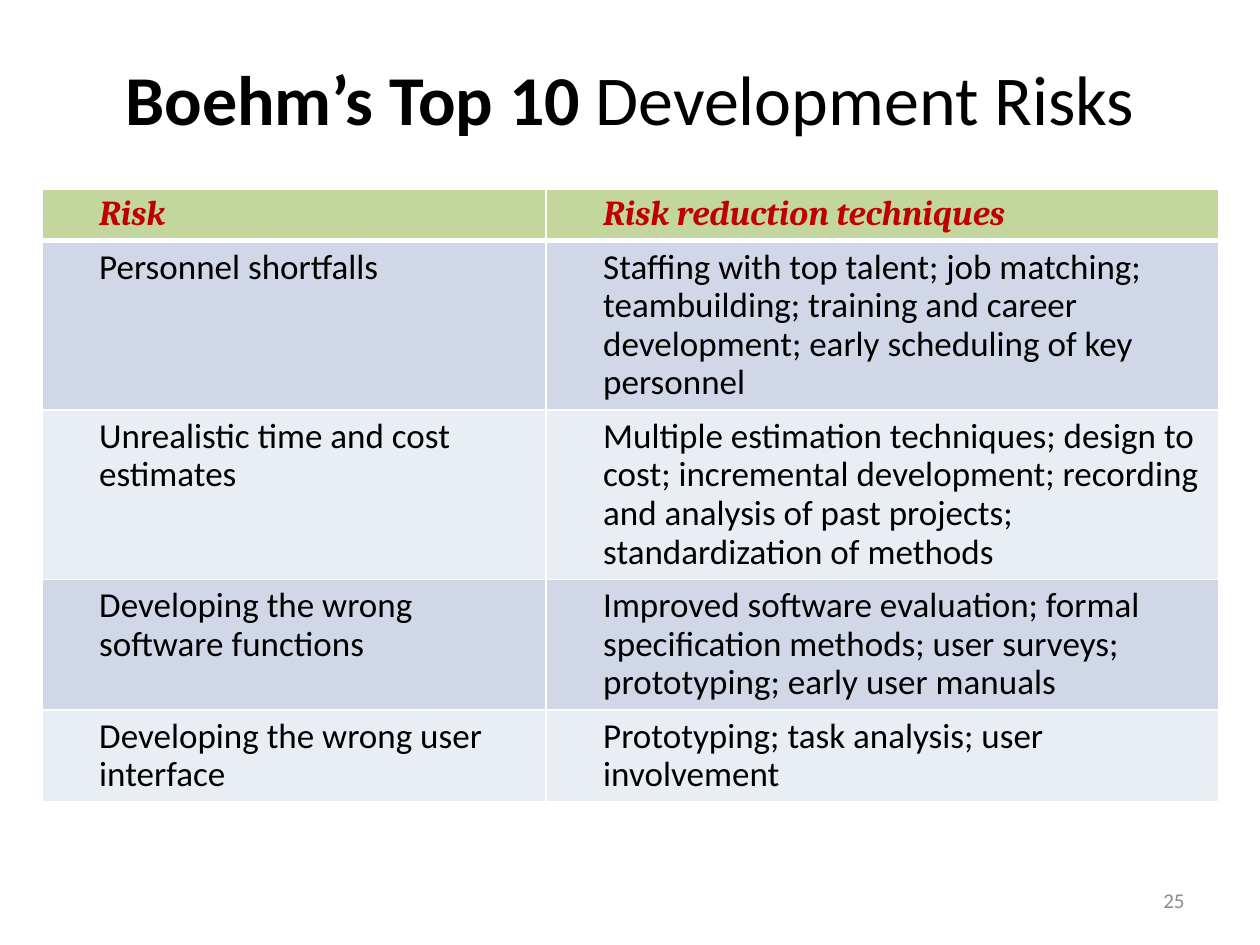
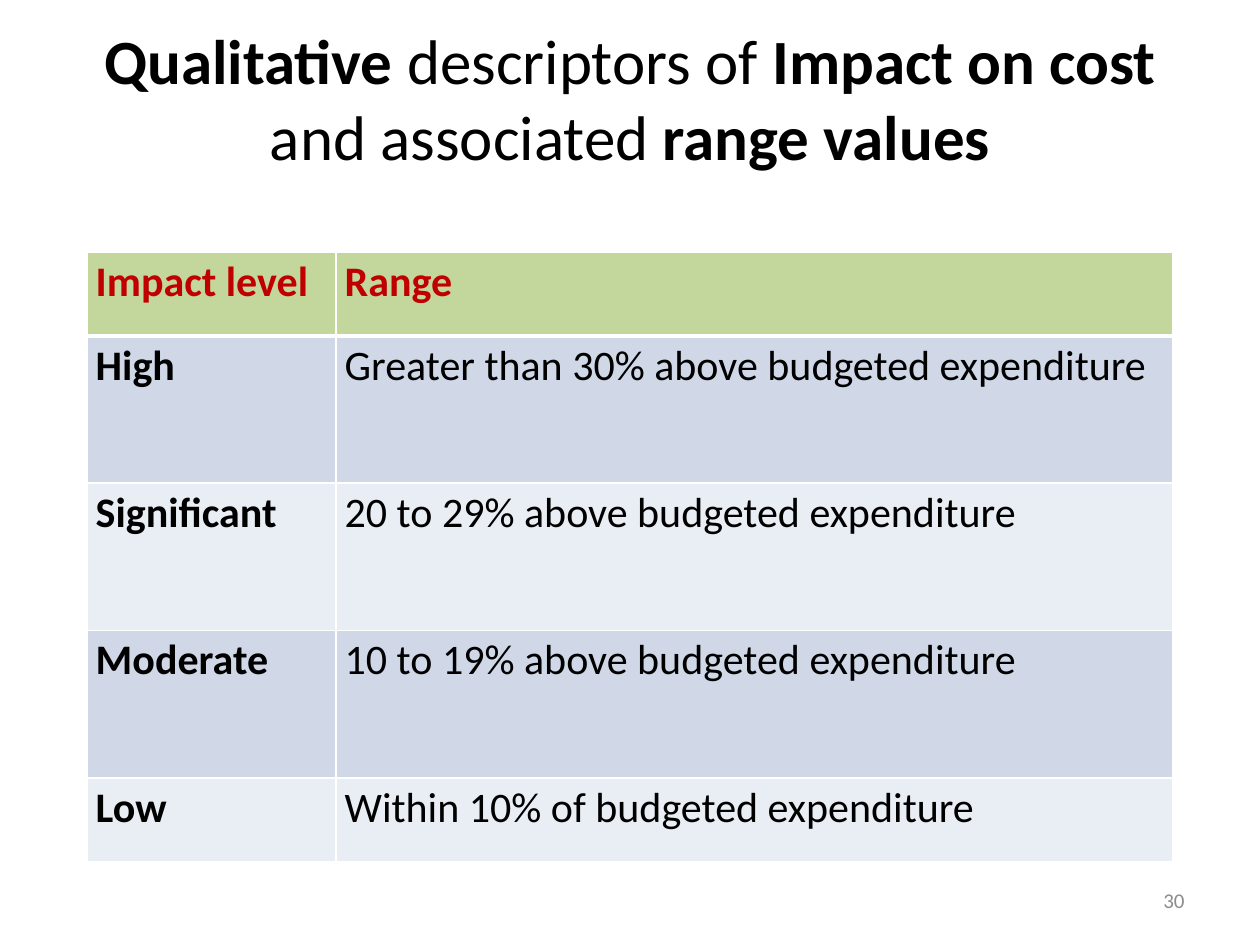
from dataclasses import dataclass
from typing import NamedTuple

from lxml import etree
from pptx import Presentation
from pptx import util as u
from pptx.dml.color import RGBColor
from pptx.enum import text
from pptx.oxml.ns import qn

# Shared look
COLOURS = {
    "ink": "000000",
    "header_text": "C00000",
    "header_fill": "C3D69B",
    "band_dark": "D0D8E8",
    "band_light": "E9EDF4",
    "border": "FFFFFF",
    "number": "8C8C8C",
}
BODY_FONT = "Calibri"
TEXT_INDENT = u.Cm(0.97)
TITLE_ONLY = 5


class Run(NamedTuple):
    text: str
    bold: bool = False


class TextStyle(NamedTuple):
    size: float
    colour: str = "ink"
    font: str = BODY_FONT
    bold: bool = False
    italic: bool = False


@dataclass
class RiskTable:
    left: float  # positions and sizes in centimetres
    top: float
    columns: list[float]
    rows: list[float]
    cells: list[tuple[str, str]]
    header: TextStyle
    body: TextStyle
    bold_labels: bool = False
    hanging: bool = False
    header_alignment: text.PP_ALIGN = text.PP_ALIGN.LEFT


@dataclass
class TableSlide:
    title: list[Run]
    title_size: float
    number: int
    table: RiskTable


def colour(name: str) -> RGBColor:
    return RGBColor.from_string(COLOURS[name])


def add_run(paragraph, words: str, style: TextStyle) -> None:
    run = paragraph.add_run()
    run.text = words
    font = run.font
    font.name, font.size = style.font, u.Pt(style.size)
    font.bold, font.italic = style.bold, style.italic
    font.color.rgb = colour(style.colour)


def add_borders(cell, bottom_width: float) -> None:
    properties = cell._tc.get_or_add_tcPr()
    for side, width in (("L", 1), ("R", 1), ("T", 1), ("B", bottom_width)):
        line = etree.SubElement(properties, qn(f"a:ln{side}"), w=str(u.Pt(width)))
        fill = etree.SubElement(line, qn("a:solidFill"))
        etree.SubElement(fill, qn("a:srgbClr"), val=COLOURS["border"])


def add_title(slide, runs: list[Run], size: float) -> None:
    title = slide.shapes.title
    title.left, title.top = u.Cm(1.27), u.Cm(0.76)
    title.width, title.height = u.Cm(22.86), u.Cm(2.41)
    frame = title.text_frame
    frame.auto_size = text.MSO_AUTO_SIZE.NONE
    frame.vertical_anchor = text.MSO_ANCHOR.MIDDLE
    paragraph = frame.paragraphs[0]
    paragraph.alignment = text.PP_ALIGN.CENTER
    for run in runs:
        add_run(paragraph, run.text, TextStyle(size, bold=run.bold))


def add_number(slide, number: int) -> None:
    box = slide.shapes.add_textbox(u.Cm(18.2), u.Cm(17.65), u.Cm(5.93), u.Cm(1.01))
    frame = box.text_frame
    frame.word_wrap = True
    frame.vertical_anchor = text.MSO_ANCHOR.MIDDLE
    paragraph = frame.paragraphs[0]
    paragraph.alignment = text.PP_ALIGN.RIGHT
    add_run(paragraph, str(number), TextStyle(12, "number"))


def fill_cell(cell, words: str, row: int, column: int, design: RiskTable) -> None:
    is_header = row == 0
    add_borders(cell, bottom_width=3 if is_header else 1)
    cell.fill.solid()
    band = "band_dark" if row % 2 else "band_light"
    cell.fill.fore_color.rgb = colour("header_fill" if is_header else band)
    cell.margin_left = cell.margin_right = u.Cm(0.18)
    cell.margin_top = cell.margin_bottom = u.Cm(0.15)

    paragraph = cell.text_frame.paragraphs[0]
    paragraph.line_spacing = 0.9
    paragraph.alignment = design.header_alignment if is_header else text.PP_ALIGN.LEFT
    properties = paragraph._p.get_or_add_pPr()
    properties.set("marL", str(TEXT_INDENT))
    properties.set("indent", str(-TEXT_INDENT if design.hanging else 0))

    style = design.header if is_header else design.body
    if design.bold_labels and column == 0:
        style = style._replace(bold=True)
    add_run(paragraph, words, style)


def add_table(slide, design: RiskTable) -> None:
    frame = slide.shapes.add_table(
        len(design.rows), len(design.columns),
        u.Cm(design.left), u.Cm(design.top),
        u.Cm(sum(design.columns)), u.Cm(sum(design.rows)),
    )
    table = frame.table
    for column, width in zip(table.columns, design.columns):
        column.width = u.Cm(width)
    for row, height in zip(table.rows, design.rows):
        row.height = u.Cm(height)
    for row, row_words in enumerate(design.cells):
        for column, words in enumerate(row_words):
            fill_cell(table.cell(row, column), words, row, column, design)


# Slide content
SLIDES = [
    TableSlide(
        title=[Run("Boehm’s Top 10 ", True), Run("Development Risks")],
        title_size=40,
        number=25,
        table=RiskTable(
            left=0.85, top=3.82,
            columns=[10.16, 13.55],
            rows=[1.02, 3.4, 3.4, 2.62, 1.83],
            header=TextStyle(20, "header_text", "Cambria", bold=True, italic=True),
            body=TextStyle(20),
            cells=[
                ("Risk", "Risk reduction techniques"),
                ("Personnel shortfalls",
                 "Staffing with top talent; job matching; teambuilding; training "
                 "and career development; early scheduling of key personnel"),
                ("Unrealistic time and cost estimates",
                 "Multiple estimation techniques; design to cost; incremental "
                 "development; recording and analysis of past projects; "
                 "standardization of methods"),
                ("Developing the wrong software functions",
                 "Improved software evaluation; formal specification methods; "
                 "user surveys; prototyping; early user manuals"),
                ("Developing the wrong user interface",
                 "Prototyping; task analysis; user involvement"),
            ],
        ),
    ),
    TableSlide(
        title=[
            Run("Qualitative", True), Run(" descriptors of "),
            Run("Impact on cost ", True), Run("and associated "),
            Run("range values", True),
        ],
        title_size=36,
        number=30,
        table=RiskTable(
            left=1.75, top=5.08,
            columns=[5.02, 16.88],
            rows=[1.69, 2.97, 2.97, 2.97, 1.69],
            header=TextStyle(24, "header_text", bold=True),
            body=TextStyle(24),
            bold_labels=True,
            hanging=True,
            header_alignment=text.PP_ALIGN.JUSTIFY,
            cells=[
                ("Impact level", "Range"),
                ("High", "Greater than 30% above budgeted expenditure"),
                ("Significant", "20 to 29% above budgeted expenditure"),
                ("Moderate", "10 to 19% above budgeted expenditure"),
                ("Low", "Within 10% of budgeted expenditure"),
            ],
        ),
    ),
]


def main() -> None:
    presentation = Presentation()
    presentation.slide_width, presentation.slide_height = u.Cm(25.4), u.Cm(19.05)
    for content in SLIDES:
        slide = presentation.slides.add_slide(presentation.slide_layouts[TITLE_ONLY])
        add_title(slide, content.title, content.title_size)
        add_table(slide, content.table)
        add_number(slide, content.number)
    presentation.save("out.pptx")


if __name__ == "__main__":
    main()
